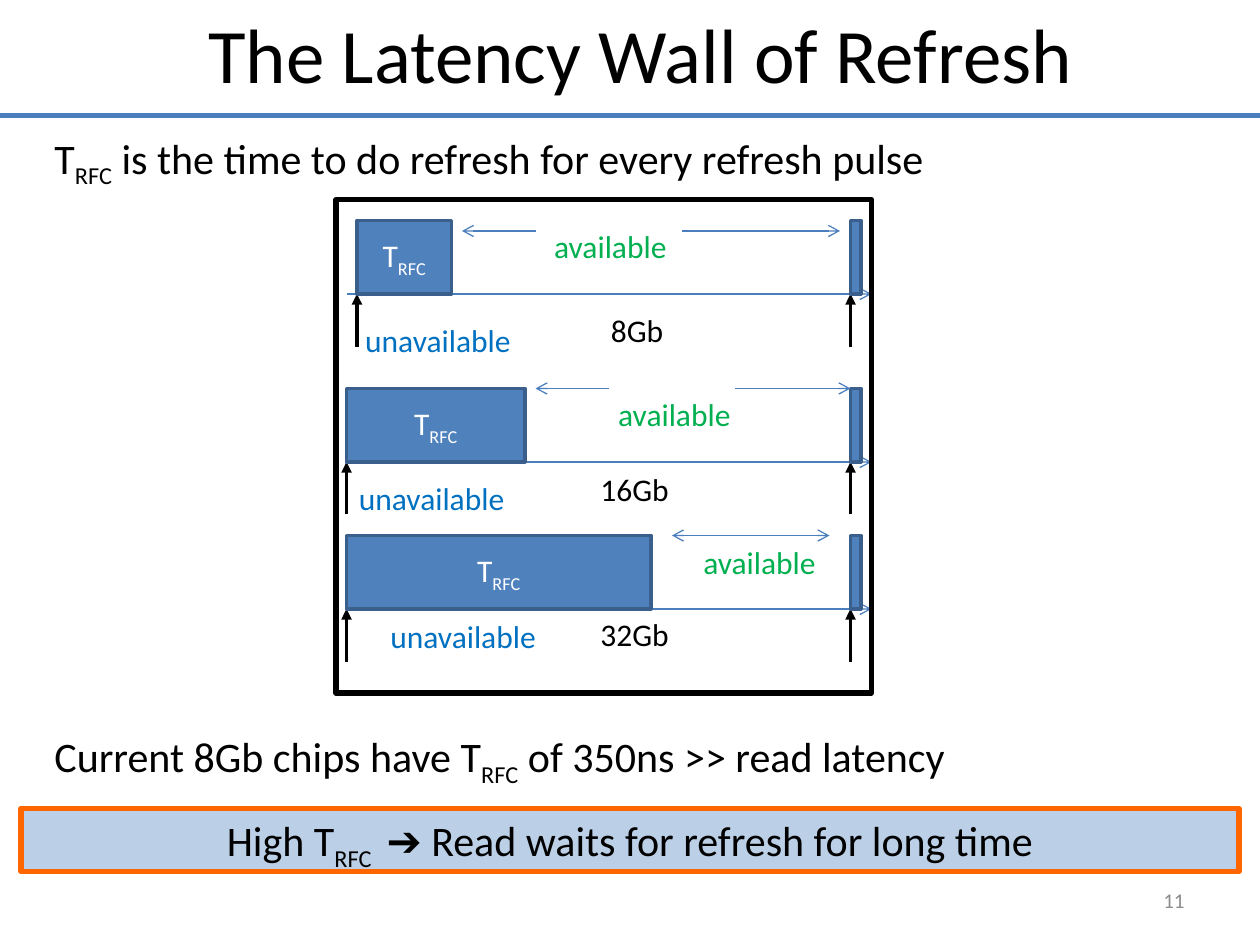
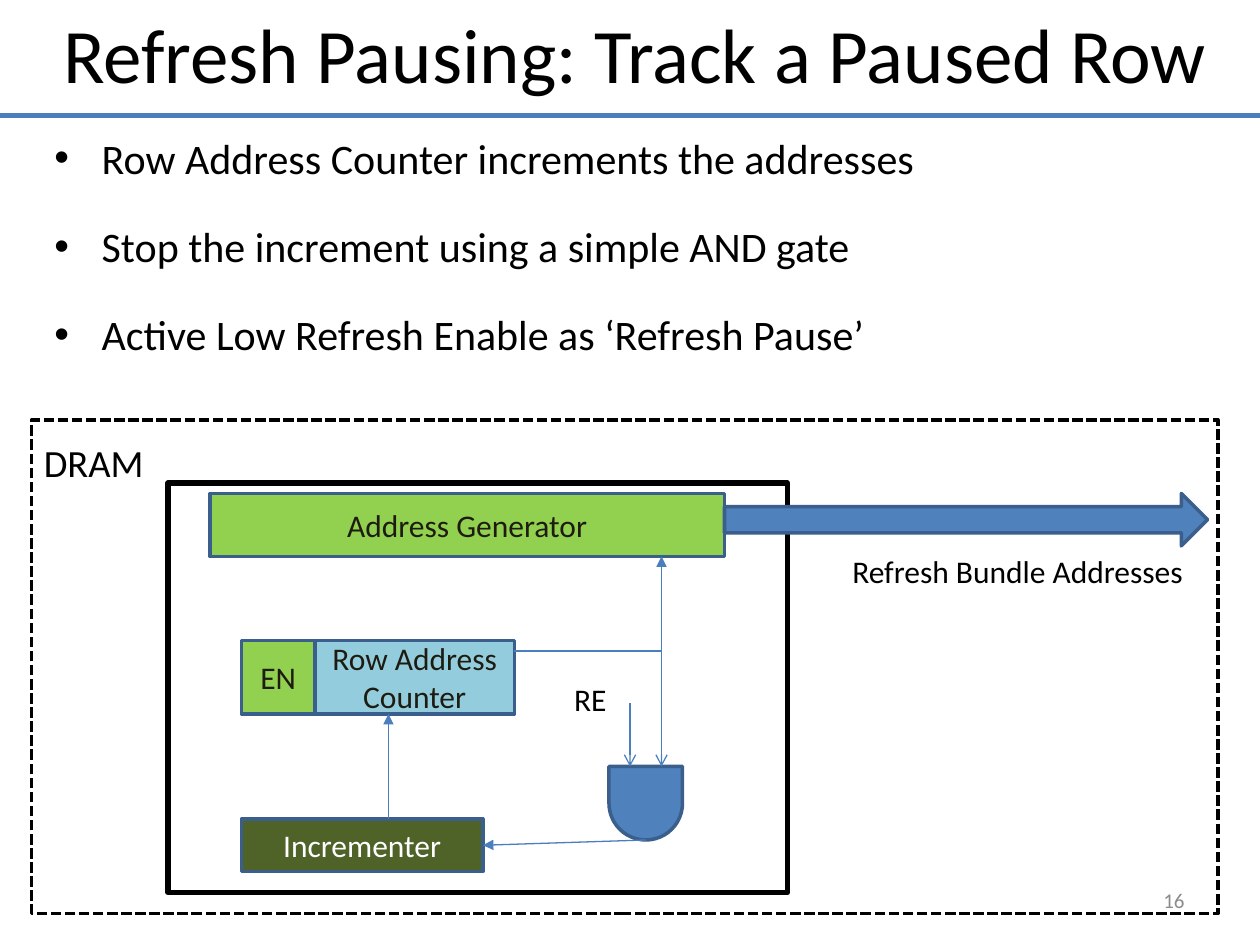
from dataclasses import dataclass
from typing import Optional

from lxml.etree import SubElement
from pptx import Presentation
from pptx.dml.color import RGBColor
from pptx.enum.dml import MSO_LINE
from pptx.enum.shapes import MSO_CONNECTOR, MSO_SHAPE as Preset
from pptx.enum.text import MSO_ANCHOR as Anchor, PP_ALIGN as Align
from pptx.oxml.ns import qn
from pptx.util import Emu, Inches, Pt

COLS, ROWS = 120, 90
SLIDE_W, SLIDE_H = Inches(10), Inches(7.5)
FONT = "Calibri"
COLORS = {
    "text": "000000", "white": "FFFFFF", "ink": "1E1C11", "page": "8C8C8C",
    "blue": "4F81BD", "edge": "3A5F8C", "rule": "4B7EBC", "band": "BBCFE6",
    "orange": "FF6600", "busy": "0070C0", "free": "00B050",
    "lime": "92D050", "aqua": "93CDDD", "olive": "4F6228",
}
T_RFC = "T|RFC"


@dataclass
class Text:
    text: str
    size: float = 18
    color: str = "text"
    align: Align = Align.LEFT
    anchor: Anchor = Anchor.TOP
    wrap: bool = True
    bullets: bool = False
    gap: float = 0


@dataclass
class Box:
    x: float
    y: float
    w: float
    h: float
    fill: Optional[str] = "blue"
    line: str = "edge"
    weight: float = 2
    preset: Preset = Preset.RECTANGLE
    text: Optional[Text] = None
    dashed: bool = False
    rotation: float = 0


@dataclass
class Line:
    x1: float
    y1: float
    x2: float
    y2: float
    color: str = "rule"
    weight: float = 0.75
    head: Optional[str] = None
    tail: Optional[str] = None


@dataclass
class Label:
    x: float
    y: float
    w: float
    text: str
    color: str = "text"


@dataclass
class Timeline:
    axis: float
    start: float
    busy: float
    spans: list[Line]
    labels: list[Label]


def col(n: float) -> Emu:
    return Emu(round(SLIDE_W * n / COLS))


def row(n: float) -> Emu:
    return Emu(round(SLIDE_H * n / ROWS))


def rgb(name: str) -> RGBColor:
    return RGBColor.from_string(COLORS[name])


def write(tf, t: Text) -> None:
    tf.word_wrap = t.wrap
    tf.vertical_anchor = t.anchor
    for i, content in enumerate(t.text.split("\n")):
        p = tf.paragraphs[0] if i == 0 else tf.add_paragraph()
        p.alignment = t.align
        p.space_before = Pt(t.gap if i else 0)
        if t.bullets:
            pPr = p._p.get_or_add_pPr()
            pPr.set("marL", str(col(4.5)))
            pPr.set("indent", str(-col(4.5)))
            SubElement(pPr, qn("a:buFont")).set("typeface", "Arial")
            SubElement(pPr, qn("a:buChar")).set("char", "•")
        for k, part in enumerate(content.split("|")):
            r = p.add_run()
            r.text = part
            r.font.name = FONT
            r.font.size = Pt(t.size)
            r.font.color.rgb = rgb(t.color)
            if k % 2:
                r._r.get_or_add_rPr().set("baseline", "-25000")


def add_text(s, x: float, y: float, w: float, h: float, t: Text) -> None:
    write(s.shapes.add_textbox(col(x), row(y), col(w), row(h)).text_frame, t)


def add_label(s, label: Label) -> None:
    add_text(s, label.x, label.y, label.w, 4.8,
             Text(label.text, color=label.color, wrap=False))


def add_box(s, b: Box):
    sp = s.shapes.add_shape(b.preset, col(b.x), row(b.y), col(b.w), row(b.h))
    sp.shadow.inherit = False
    sp.rotation = b.rotation
    if b.fill:
        sp.fill.solid()
        sp.fill.fore_color.rgb = rgb(b.fill)
    else:
        sp.fill.background()
    sp.line.color.rgb = rgb(b.line)
    sp.line.width = Pt(b.weight)
    if b.dashed:
        sp.line.dash_style = MSO_LINE.SQUARE_DOT
    if b.text:
        write(sp.text_frame, b.text)
    return sp


def add_line(s, ln: Line):
    cx = s.shapes.add_connector(MSO_CONNECTOR.STRAIGHT, col(ln.x1), row(ln.y1),
                                col(ln.x2), row(ln.y2))
    cx.line.color.rgb = rgb(ln.color)
    cx.line.width = Pt(ln.weight)
    ends = cx.line._get_or_add_ln()
    for tag, kind in (("a:headEnd", ln.head), ("a:tailEnd", ln.tail)):
        if kind:
            SubElement(ends, qn(tag)).set("type", kind)
    SubElement(cx._element.spPr, qn("a:effectLst"))
    return cx


def centered(text: str, color: str) -> Text:
    return Text(text, color=color, align=Align.CENTER, anchor=Anchor.MIDDLE)


def add_frame(prs, title: str, x: float, w: float, number: int):
    s = prs.slides.add_slide(prs.slide_layouts[6])
    add_text(s, x, 0, w, 11.5, Text(title, 44, align=Align.CENTER))
    add_line(s, Line(0, 11, COLS, 11, weight=3))
    add_text(s, 85, 83.2, 29, 5,
             Text(str(number), 12, "page", Align.RIGHT, Anchor.MIDDLE))
    return s


def add_timeline(s, t: Timeline) -> None:
    pulse, bar_h = 81, 7
    add_line(s, Line(33, t.axis, 83, t.axis, tail="arrow"))
    for x in (t.start, pulse):
        add_line(s, Line(x, t.axis + 5, x, t.axis, "text", 2, tail="triangle"))
    top = t.axis - bar_h
    add_box(s, Box(t.start, top, t.busy, bar_h, text=centered(T_RFC, "white")))
    add_box(s, Box(pulse, top, 1, bar_h))
    for span in t.spans:
        add_line(s, span)
    for label in t.labels:
        add_label(s, label)


def timing_labels(busy: tuple, free: tuple, size: tuple) -> list[Label]:
    return [Label(*busy, 16.4, "unavailable", "busy"),
            Label(*free, 13.2, "available", "free"),
            Label(*size)]


def build_latency(prs) -> None:
    s = add_frame(prs, "The Latency Wall of Refresh", 8, 106, 11)
    notes = [(12, f"{T_RFC}| is the time to do refresh for every refresh pulse"),
             (69, f"Current 8Gb chips have {T_RFC}| of 350ns >> read latency")]
    for y, note in notes:
        add_text(s, 4, y, 112, 6, Text(note, 24))
    timelines = [
        Timeline(28, 34, 9,
                 [Line(51, 22, 44, 22, tail="arrow"),
                  Line(65, 22, 80, 22, tail="arrow")],
                 timing_labels((33.6, 30), (51.6, 21), (57, 29, 7.4, "8Gb"))),
        Timeline(44, 33, 17,
                 [Line(58, 37, 51, 37, tail="arrow"),
                  Line(70, 37, 81, 37, tail="arrow")],
                 timing_labels((33, 45), (57.7, 37), (56, 44.2, 9, "16Gb"))),
        Timeline(58, 33, 29,
                 [Line(64, 51, 79, 51, head="arrow", tail="arrow")],
                 timing_labels((36, 58.2), (65.8, 51.1), (56, 58, 9, "32Gb"))),
    ]
    for t in timelines:
        add_timeline(s, t)
    add_box(s, Box(32, 19, 51, 47, None, "text", 3))
    add_box(s, Box(2, 77, 116, 6, "band", "orange", 3, text=Text(
        f"High {T_RFC} | ➔ Read waits for refresh for long time", 24,
        align=Align.CENTER)))


def build_pausing(prs) -> None:
    s = add_frame(prs, "Refresh Pausing: Track a Paused Row", 4, 113, 16)
    add_text(s, 4, 12, 116, 27, Text(
        "Row Address Counter increments the addresses\n"
        "Stop the increment using a simple AND gate\n"
        "Active Low Refresh Enable as ‘Refresh Pause’",
        24, bullets=True, gap=21.6))
    boxes = [
        Box(16, 46, 59, 39, None, "text", 3),
        Box(20, 47, 49, 6, "lime", text=centered("Address Generator", "ink")),
        Box(30, 61, 19, 7, "aqua", text=centered("Row Address Counter", "ink")),
        Box(23, 61, 7, 7, "lime", text=centered("EN", "ink")),
        Box(69, 47, 46, 5, preset=Preset.RIGHT_ARROW),
        Box(3, 40, 113, 47, None, "text", dashed=True),
        Box(58, 73, 7, 7, preset=Preset.FLOWCHART_DELAY, rotation=90),
    ]
    for b in boxes:
        add_box(s, b)
    incrementer = add_box(s, Box(23, 78, 23, 5, "olive",
                                 text=centered("Incrementer", "white")))
    wires = [
        Line(37, 68, 37, 78, head="triangle"),
        Line(49, 62, 63, 62),
        Line(63, 62, 63, 53, tail="triangle"),
        Line(63, 62, 63, 73, tail="arrow"),
        Line(60, 67, 60, 73, tail="arrow"),
    ]
    for wire in wires:
        add_line(s, wire)
    feedback = add_line(s, Line(46, 80.5, 61.5, 80, head="triangle"))
    feedback.begin_connect(incrementer, 3)
    add_label(s, Label(80, 52, 34.3, "Refresh Bundle Addresses"))
    add_label(s, Label(53.5, 64.2, 5.5, "RE"))
    add_text(s, 3, 41.2, 13, 5.6, Text("DRAM", 22))


def main() -> None:
    prs = Presentation()
    prs.slide_width, prs.slide_height = SLIDE_W, SLIDE_H
    build_latency(prs)
    build_pausing(prs)
    prs.save("out.pptx")


if __name__ == "__main__":
    main()
